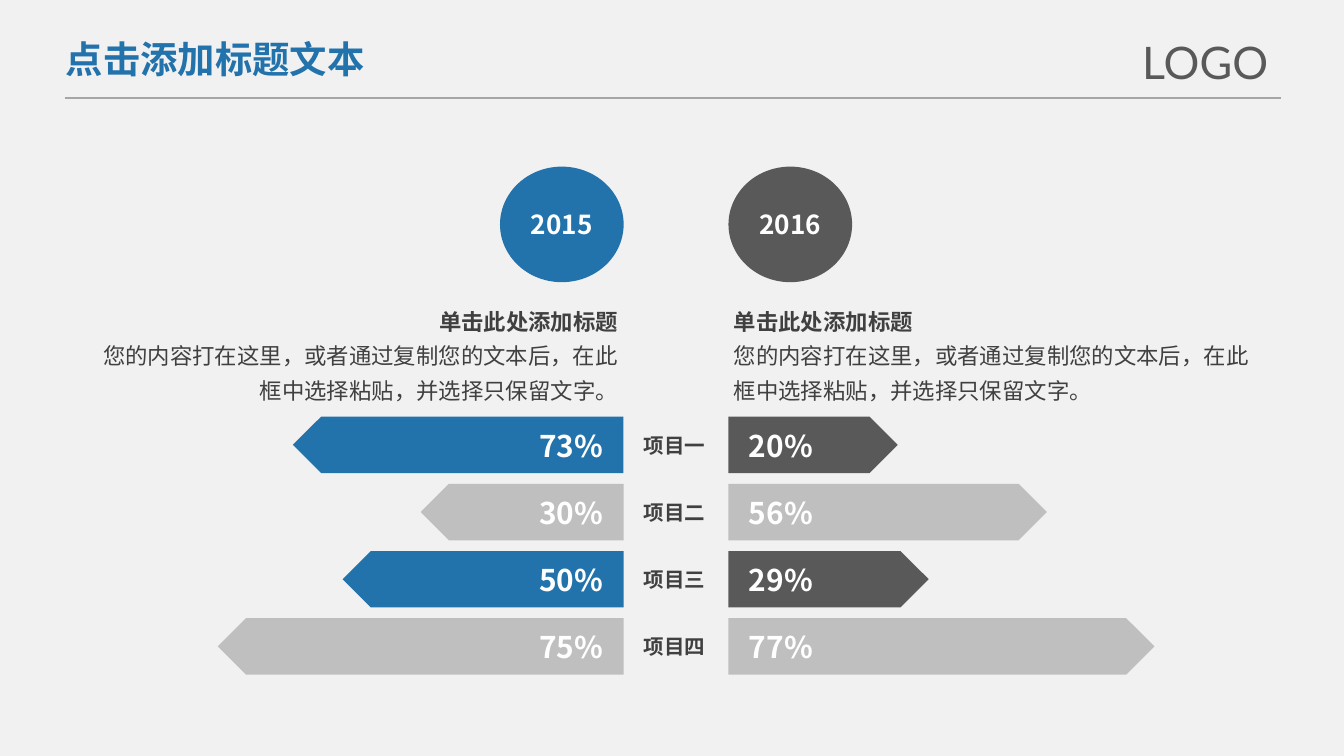
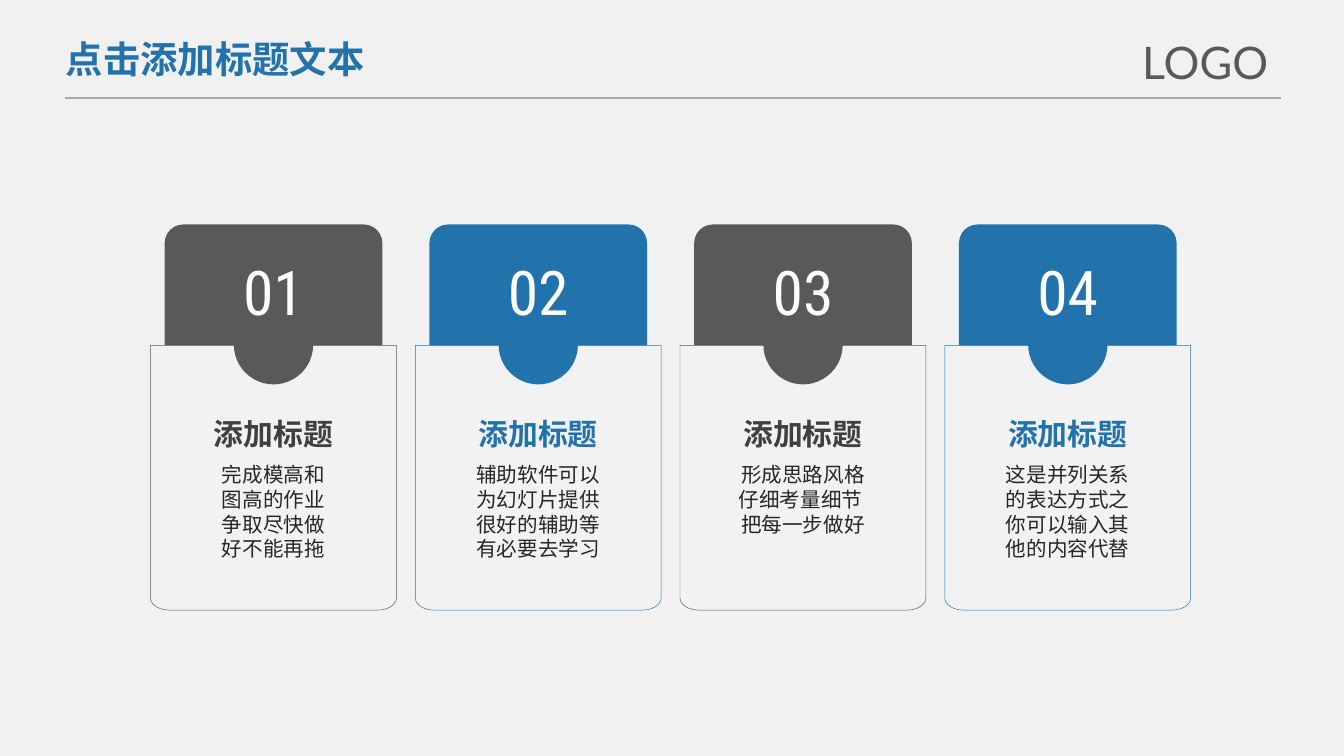
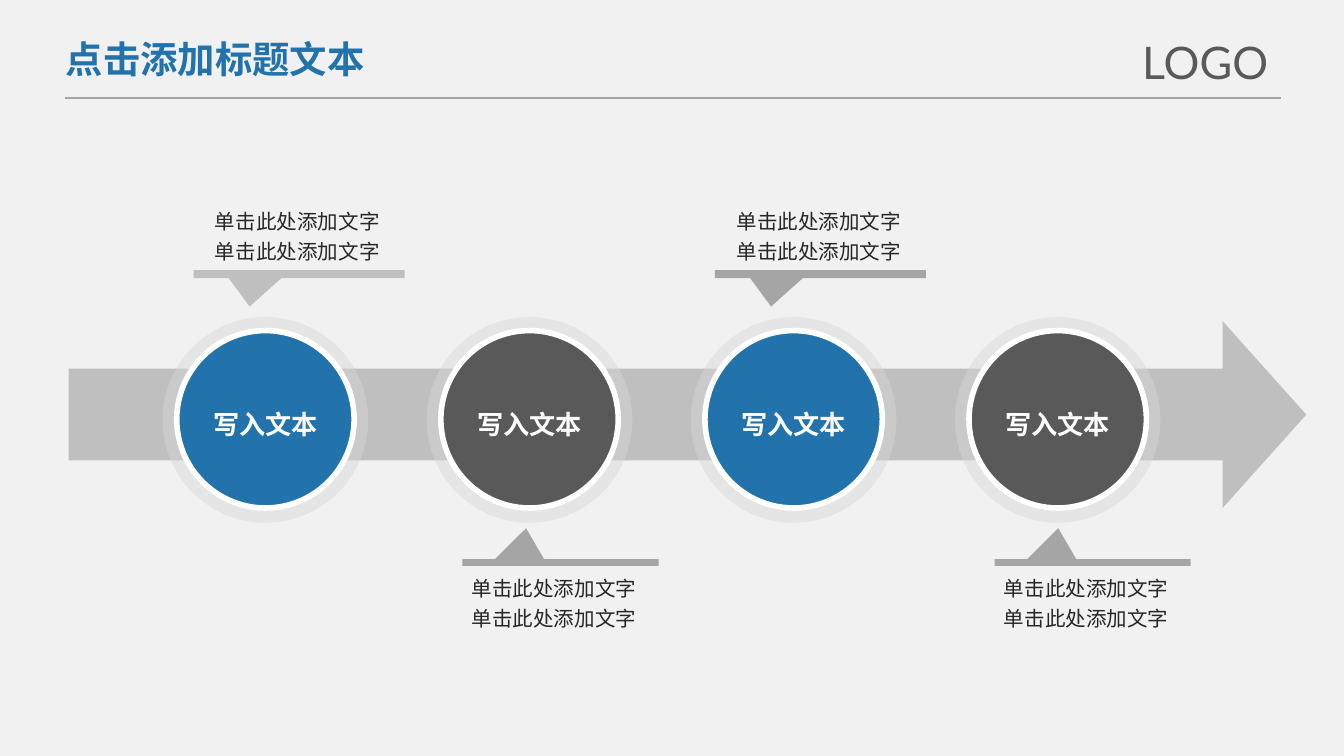
import dataclasses
import math

import lxml.etree
import pptx
import pptx.dml.color
import pptx.enum.shapes
import pptx.enum.text
import pptx.oxml.ns
import pptx.util

Pt = pptx.util.Pt
SHAPE = pptx.enum.shapes.MSO_SHAPE
ALIGN = pptx.enum.text.PP_ALIGN
MIDDLE = pptx.enum.text.MSO_ANCHOR.MIDDLE
GROW = pptx.enum.text.MSO_AUTO_SIZE.SHAPE_TO_FIT_TEXT

# The slide is a grid of 100 columns by 56.25 rows
WIDTH, HEIGHT = pptx.util.Inches(10), pptx.util.Inches(5.625)
COL, ROW = WIDTH / 100, HEIGHT / 56.25

COLOURS = {
    "paper": "F1F1F1", "pocket": "F2F2F2", "white": "FFFFFF", "halo": "D8D8D8",
    "blue": "2272AB", "slate": "595959", "heading": "404040", "ink": "262626",
    "silver": "BFBFBF", "steel": "A5A5A5", "rule": "A6A6A6",
}
SANS = "Noto Sans CJK SC"

# Per text role: font values, paragraph values, colour and (side, top) margins in inches
FORMATS = {
    "title": ({"size": Pt(20), "name": SANS, "bold": True}, {}, "blue", (0.1, 0.05)),
    "mark": ({"size": Pt(24), "name": "Lato"}, {}, "slate", (0.1, 0.05)),
    "year": ({"size": Pt(14), "name": SANS, "bold": True},
             {"alignment": ALIGN.CENTER}, "white", (0.07, 0.04)),
    "percent": ({"size": Pt(16), "name": SANS, "bold": True},
                {"alignment": ALIGN.CENTER}, "white", (0.07, 0.04)),
    "item": ({"size": Pt(11), "name": SANS, "bold": True},
             {"alignment": ALIGN.CENTER}, "heading", (0.07, 0.04)),
    "summary": ({"size": Pt(12), "name": SANS, "bold": False},
                {"line_spacing": 1.3}, "heading", (0.04, 0.02)),
    "number": ({"size": Pt(33), "name": "Roboto Condensed"},
               {"alignment": ALIGN.CENTER}, "white", (0.07, 0.04)),
    "card title": ({"size": Pt(16), "name": SANS, "bold": True},
                   {"alignment": ALIGN.CENTER}, "heading", (0.07, 0.04)),
    "card body": ({"size": Pt(11), "name": SANS},
                  {"alignment": ALIGN.CENTER}, "ink", (0.07, 0.04)),
    "stage": ({"size": Pt(14), "name": SANS, "bold": True},
              {"alignment": ALIGN.CENTER}, "white", (0.1, 0.05)),
    "caption": ({"size": Pt(11), "name": SANS}, {"line_spacing": 1.2}, "ink", (0.09, 0.05)),
}


@dataclasses.dataclass
class Box:
    x: float
    y: float
    w: float
    h: float

    def offset(self, dx, dy, w, h):
        return Box(self.x + dx, self.y + dy, w, h)

    def centred(self, dy, w, h):
        return self.offset((self.w - w) / 2, dy, w, h)

    def emu(self):
        return [round(v) for v in (self.x * COL, self.y * ROW, self.w * COL, self.h * ROW)]


def rgb(colour):
    return pptx.dml.color.RGBColor.from_string(COLOURS[colour])


def set_values(target, values):
    for attribute, value in values.items():
        setattr(target, attribute, value)


def paint(shape, colour, outline=None, weight=0):
    shape.shadow.inherit = False
    shape.fill.solid()
    shape.fill.fore_color.rgb = rgb(colour)
    if outline:
        shape.line.color.rgb = rgb(outline)
        shape.line.width = Pt(weight)
    else:
        shape.line.fill.background()
    return shape


def draw(shapes, kind, box, colour, adjust=(), **outline):
    shape = paint(shapes.add_shape(kind, *box.emu()), colour, **outline)
    for index, value in enumerate(adjust):
        shape.adjustments[index] = value
    return shape


def write(frame, lines, role, colour=None):
    font_values, paragraph_values, role_colour, (side, top) = FORMATS[role]
    side, top = pptx.util.Inches(side), pptx.util.Inches(top)
    set_values(frame, {"margin_left": side, "margin_right": side,
                       "margin_top": top, "margin_bottom": top})
    for index, line in enumerate(lines):
        paragraph = frame.add_paragraph() if index else frame.paragraphs[0]
        set_values(paragraph, paragraph_values)
        run = paragraph.add_run()
        run.text = line
        set_values(run.font, font_values)
        run.font.color.rgb = rgb(colour or role_colour)
        east_asian = lxml.etree.SubElement(run.font._element, pptx.oxml.ns.qn("a:ea"))
        east_asian.set("typeface", font_values["name"])


def label(shapes, box, lines, role, colour=None, wrap=True, grow=True):
    frame = shapes.add_textbox(*box.emu()).text_frame
    frame.word_wrap = wrap
    if grow:
        frame.auto_size = GROW
    write(frame, lines, role, colour)
    return frame


def header(slide, box):
    # Rule under the title, then the title and the mark
    left, top, width, height = box.emu()
    rule = slide.shapes.add_connector(pptx.enum.shapes.MSO_CONNECTOR.STRAIGHT,
                                      left, top + height, left + width, top + height)
    rule.line.color.rgb = rgb("rule")
    rule.line.width = Pt(1)
    lxml.etree.SubElement(rule._element.spPr, pptx.oxml.ns.qn("a:effectLst"))
    label(slide.shapes, box.offset(-0.9, 0.1, 24.5, 4.4), ["点击添加标题文本"], "title", wrap=False)
    label(slide.shapes, box.offset(79.2, 0, 12.5, 5), ["LOGO"], "mark", wrap=False)


def comparison_side(slide, box, year, accent, bars, mirrored=False):
    shapes = slide.shapes

    def outward(gap, dy, w, h):
        return box.offset(box.w - gap - w if mirrored else gap, dy, w, h)

    # Year badge
    badge = draw(shapes, SHAPE.OVAL, outward(0, 0, 9.2, 8.6), accent)
    badge.text_frame.vertical_anchor = MIDDLE
    write(badge.text_frame, [year], "year")

    # Summary
    summary = label(shapes, outward(0, 9.7, box.w, 8.3), [
        "单击此处添加标题",
        "您的内容打在这里，或者通过复制您的文本后，在此框中选择粘贴，并选择只保留文字。",
    ], "summary")
    summary.paragraphs[0].runs[0].font.bold = True
    if mirrored:
        for paragraph in summary.paragraphs:
            paragraph.alignment = ALIGN.RIGHT

    # Bars pointing away from the middle
    for index, (percent, length) in enumerate(bars):
        top = 18.6 + 5 * index
        bar = draw(shapes, SHAPE.PENTAGON, outward(0, top, length, 4.2),
                   "silver" if index % 2 else accent)
        if mirrored:
            bar._element.spPr.xfrm.set("flipH", "1")
        label(shapes, outward(0.7, top + 0.4, 6.4, 3.5), [percent], "percent", wrap=False)


def item_names(slide, box, names):
    for index, name in enumerate(names):
        label(slide.shapes, box.offset(0, 5 * index, box.w, 2.7), [name], "item", wrap=False)


def pocket_points(box, radius_x=1.4, radius_y=0.9, steps=6):
    right, bottom = box.x + box.w, box.y + box.h
    points = [(box.x, box.y), (right, box.y)]
    for centre, start in ((right - radius_x, 0), (box.x + radius_x, 90)):
        for step in range(steps + 1):
            angle = math.radians(start + 90 * step / steps)
            points.append((centre + radius_x * math.cos(angle),
                           bottom - radius_y + radius_y * math.sin(angle)))
    return [(round(x * COL), round(y * ROW)) for x, y in points]


def card(slide, box, number, accent, title_colour, lines):
    shapes = slide.shapes.add_group_shape().shapes
    # Tab, pocket and notch
    draw(shapes, SHAPE.ROUNDED_RECTANGLE, box.centred(0, 16.2, 14.9), accent, [0.093])
    start, *others = pocket_points(box.offset(0, 9, box.w, box.h - 9))
    outline = shapes.build_freeform(*start)
    outline.add_line_segments(others)
    paint(outline.convert_to_shape(), "pocket", accent, 0.25)
    draw(shapes, SHAPE.OVAL, box.centred(6, 5.9, 5.9), accent)
    # Wording
    label(shapes, box.centred(1.8, 9, 6.4), [number], "number")
    label(shapes, box.centred(13.8, 11, 3.4), ["添加标题"], "card title", title_colour)
    label(shapes, box.centred(17.3, 13.4, 1 + 1.8 * len(lines)), lines, "card body")


def process_arrow(slide, box):
    upright = box.offset((box.w - box.h) / 2, (box.h - box.w) / 2, box.h, box.w)
    arrow = draw(slide.shapes, SHAPE.DOWN_ARROW, upright, "silver", [0.491, 0.448])
    arrow.rotation = 270


def stage(slide, box, accent):
    shapes = slide.shapes.add_group_shape().shapes
    halo = draw(shapes, SHAPE.OVAL, box, "halo")
    tint = halo._element.spPr.find(".//" + pptx.oxml.ns.qn("a:srgbClr"))
    lxml.etree.SubElement(tint, pptx.oxml.ns.qn("a:alpha")).set("val", "48000")
    draw(shapes, SHAPE.OVAL, box.centred(1, 13.2, 13.2), accent, outline="white", weight=3)
    label(shapes, box.centred(6.3, 16.8, 5.4), ["写入文本"], "stage", grow=False)


def callout(slide, box, colour, above):
    pointer = [-0.234, 4.033] if above else [-0.175, -5.095]
    draw(slide.shapes, SHAPE.RECTANGULAR_CALLOUT, box, colour, pointer)
    dx, dy = (0.7, -5.4) if above else (-0.2, 0.4)
    label(slide.shapes, box.offset(dx, dy, 14.6, 5.5), ["单击此处添加文字"] * 2, "caption")


def comparison_slide(slide):
    comparison_side(slide, Box(6.7, 12.4, 39.7, 37.8), "2015", "blue",
                    [("73%", 24.6), ("30%", 15.1), ("50%", 20.9), ("75%", 30.2)], mirrored=True)
    comparison_side(slide, Box(54.2, 12.4, 40.6, 37.8), "2016", "slate",
                    [("20%", 12.6), ("56%", 23.7), ("29%", 14.9), ("77%", 31.7)])
    item_names(slide, Box(47.1, 31.8, 6.2, 17.7), ["项目一", "项目二", "项目三", "项目四"])


def cards_slide(slide):
    bodies = [
        ["完成模高和", "图高的作业", "争取尽快做", "好不能再拖"],
        ["辅助软件可以", "为幻灯片提供", "很好的辅助等", "有必要去学习"],
        ["形成思路风格", "仔细考量细节 ", "把每一步做好"],
        ["这是并列关系", "的表达方式之", "你可以输入其", "他的内容代替"],
    ]
    for index, lines in enumerate(bodies):
        accent, title_colour = ("blue", "blue") if index % 2 else ("slate", "heading")
        card(slide, Box(11.2 + 19.7 * index, 16.7, 18.3, 28.7),
             f"{index + 1:02}", accent, title_colour, lines)


def process_slide(slide):
    process_arrow(slide, Box(5.1, 23.9, 92.1, 13.9))
    callouts = [(14.4, "silver"), (34.4, "steel"), (53.2, "steel"), (74, "steel")]
    for index, (left, colour) in enumerate(callouts):
        above = index % 2 == 0
        stage(slide, Box(12.1 + 19.65 * index, 23.6, 15.3, 15.3), "blue" if above else "slate")
        bar = Box(left, 20.1, 15.7, 0.6) if above else Box(left, 41.6, 14.6, 0.5)
        callout(slide, bar, colour, above)


def main():
    deck = pptx.Presentation()
    deck.slide_width, deck.slide_height = WIDTH, HEIGHT
    for fill_slide in (comparison_slide, cards_slide, process_slide):
        slide = deck.slides.add_slide(deck.slide_layouts[6])
        slide.background.fill.solid()
        slide.background.fill.fore_color.rgb = rgb("paper")
        header(slide, Box(4.8, 2.1, 90.5, 5.2))
        fill_slide(slide)
    deck.save("out.pptx")


if __name__ == "__main__":
    main()
